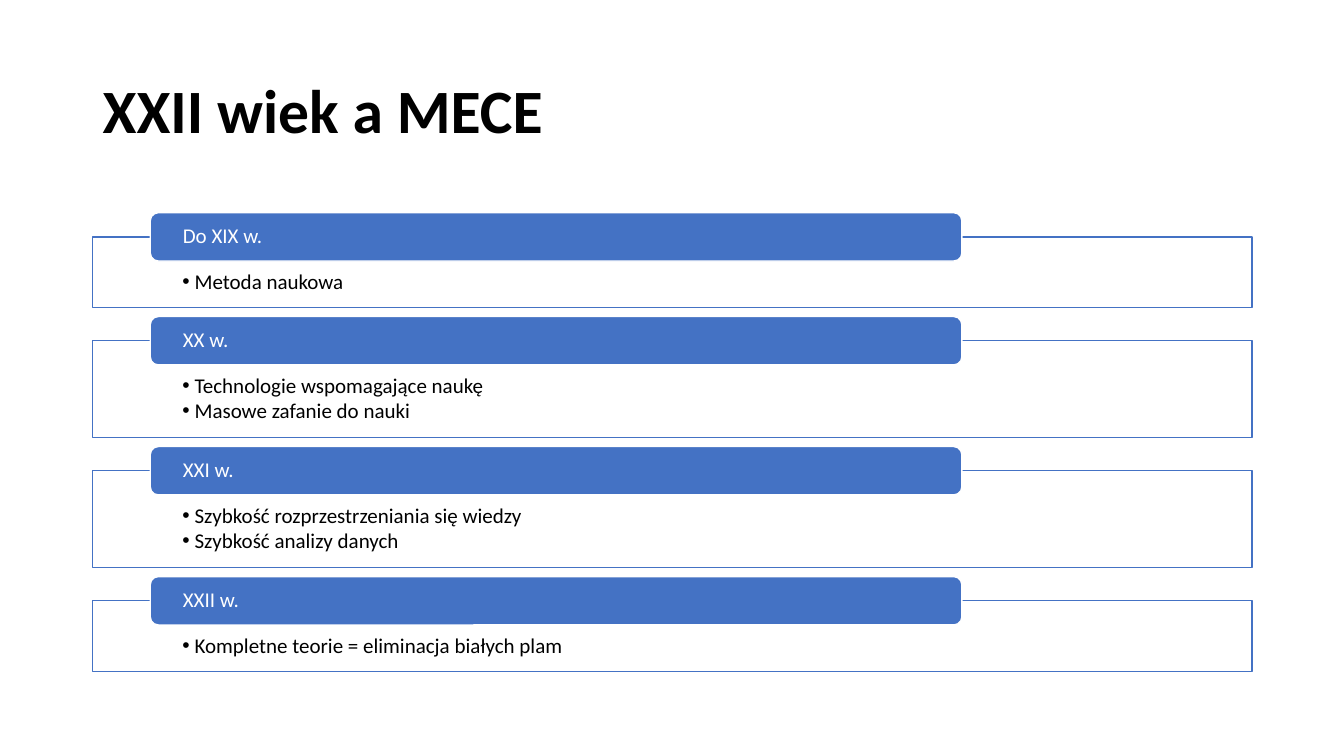
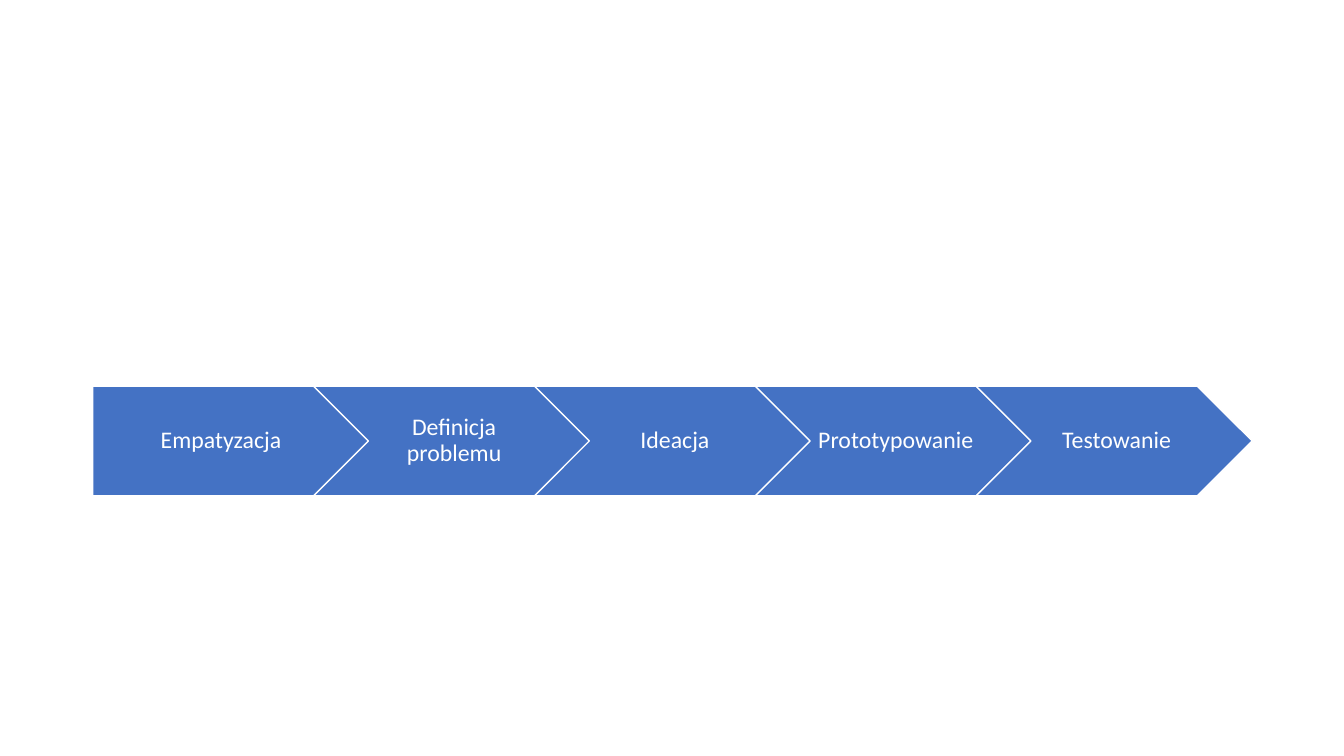
from lxml import etree
from pptx import Presentation
from pptx.dml.color import RGBColor
from pptx.enum.shapes import MSO_SHAPE
from pptx.enum.text import MSO_ANCHOR, PP_ALIGN
from pptx.oxml.ns import qn
from pptx.util import Pt

RECT, TAB = MSO_SHAPE.RECTANGLE, MSO_SHAPE.ROUNDED_RECTANGLE
PENTAGON, CHEVRON = MSO_SHAPE.PENTAGON, MSO_SHAPE.CHEVRON
TOP, MIDDLE = MSO_ANCHOR.TOP, MSO_ANCHOR.MIDDLE
LEFT, CENTER = PP_ALIGN.LEFT, PP_ALIGN.CENTER

EMU_PER_PX = 9144  # 100 px to the inch
SLIDE_W, SLIDE_H = 1333, 750
MARGIN, CONTENT_W = 92, 1150
FONT = "Calibri"
COLORS = {"accent": "4472C4", "light": "FFFFFF", "text": "000000"}

ERAS = [
    ("Do XIX w.", ["Metoda naukowa"]),
    ("XX w.", ["Technologie wspomagające naukę", "Masowe zafanie do nauki"]),
    ("XXI w.", ["Szybkość rozprzestrzeniania się wiedzy", "Szybkość analizy danych"]),
    ("XXII w.", ["Kompletne teorie = eliminacja białych plam"]),
]
STAGES = ["Empatyzacja", "Definicja problemu", "Ideacja", "Prototypowanie", "Testowanie"]


def px(value):
    return value * EMU_PER_PX


def rgb(name):
    return RGBColor.from_string(COLORS[name])


def write(shape, lines, size, color, insets, anchor=MIDDLE, align=LEFT, bold=False):
    """Fill the shape with one paragraph a line; insets are left, top, right, bottom."""
    frame = shape.text_frame
    frame.word_wrap = True
    frame.vertical_anchor = anchor
    frame.margin_left, frame.margin_top, frame.margin_right, frame.margin_bottom = map(px, insets)
    frame.text = "\n".join(lines)
    for paragraph in frame.paragraphs:
        paragraph.alignment = align
        paragraph.line_spacing = 0.9
        font = paragraph.runs[0].font
        font.name, font.size, font.bold = FONT, Pt(size), bold
        font.color.rgb = rgb(color)


def add_bullets(shape, indent):
    for paragraph in shape.text_frame.paragraphs:
        paragraph.space_after = Pt(2)
        properties = paragraph._p.get_or_add_pPr()
        properties.set("marL", str(px(indent)))
        properties.set("indent", str(-px(indent)))
        etree.SubElement(properties, qn("a:buFont"), typeface="Arial")
        etree.SubElement(properties, qn("a:buChar"), char="•")


def set_opacity(shape, percent):
    color = shape.fill._xPr.find(qn("a:solidFill"))[0]
    etree.SubElement(color, qn("a:alpha"), val=str(percent * 1000))


def add_block(slide, kind, box, fill, line):
    shape = slide.shapes.add_shape(kind, *map(px, box))
    shape.shadow.inherit = False
    shape.fill.solid()
    shape.fill.fore_color.rgb = rgb(fill)
    shape.line.color.rgb = rgb(line)
    shape.line.width = Pt(1)
    return shape


def add_title(slide, text):
    title = slide.shapes.add_textbox(*map(px, (MARGIN, 40, CONTENT_W, 145)))
    write(title, [text], 44, "text", (10, 5, 10, 5), bold=True)


def add_era(slide, top, height, name, points):
    """Outlined frame of bullets with a tab across its upper edge."""
    frame = add_block(slide, RECT, (MARGIN, top, CONTENT_W, height), "light", "accent")
    set_opacity(frame, 90)
    write(frame, points, 15, "text", (89, 34, 89, 12), anchor=TOP)
    add_bullets(frame, 12)
    tab = add_block(slide, TAB, (MARGIN + 57, top - 24, 805, 48), "accent", "light")
    write(tab, [name], 15, "light", (30, 0, 30, 0))


def build_eras(slide):
    add_title(slide, "XXII wiek a MECE")
    top, gap = 235, 33
    for name, points in ERAS:
        height = 44 + 26 * len(points)
        add_era(slide, top, height, name, points)
        top += height + gap


def build_process(slide):
    pitch, width, height = 219, 274, 109
    for index, stage in enumerate(STAGES):
        box = (MARGIN + index * pitch, 383, width, height)
        arrow = add_block(slide, CHEVRON if index else PENTAGON, box, "accent", "light")
        write(arrow, [stage], 17, "light", (7 if index else 10, 5, 2, 5), align=CENTER)


def main():
    deck = Presentation()
    deck.slide_width, deck.slide_height = px(SLIDE_W), px(SLIDE_H)
    blank = deck.slide_layouts[6]
    for build in (build_eras, build_process):
        build(deck.slides.add_slide(blank))
    deck.save("out.pptx")


if __name__ == "__main__":
    main()
